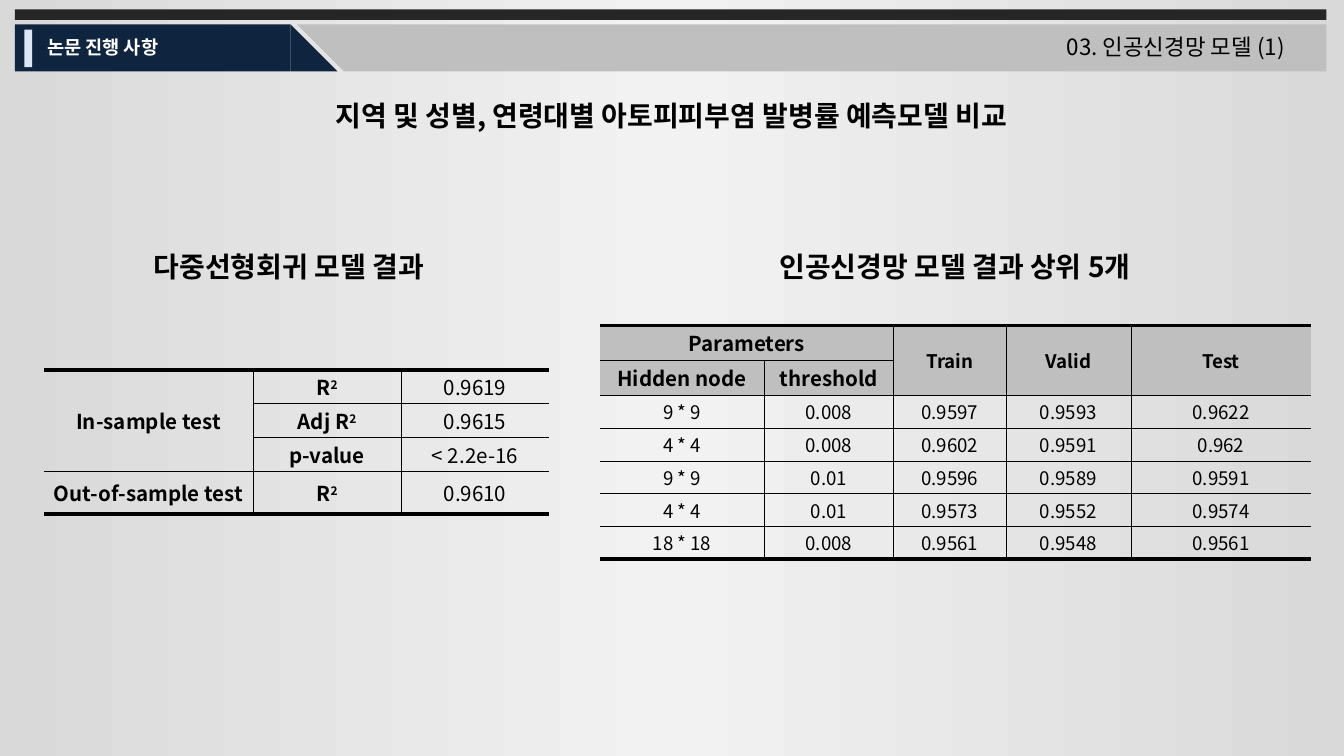
from copy import deepcopy

from lxml import etree
from pptx import Presentation
from pptx.dml.color import RGBColor
from pptx.enum.shapes import MSO_SHAPE
from pptx.enum.text import MSO_ANCHOR, MSO_AUTO_SIZE, PP_ALIGN
from pptx.oxml.ns import qn
from pptx.util import Cm, Pt

RECT = MSO_SHAPE.RECTANGLE
TRIANGLE = MSO_SHAPE.RIGHT_TRIANGLE
LEFT, CENTER = PP_ALIGN.LEFT, PP_ALIGN.CENTER
MIDDLE = MSO_ANCHOR.MIDDLE
GROW = MSO_AUTO_SIZE.SHAPE_TO_FIT_TEXT
FONT = "Noto Sans CJK KR"
NO_STYLE = "{2D5ABB26-0587-4C30-8999-92F81FD0307C}"
THIN, THICK = Pt(0.28), Pt(2.25)


def rgb(color):
    return RGBColor.from_string(color)


def write(p, text, size, bold, color="000000", align=CENTER):
    p.alignment = align
    for i, part in enumerate(text.split("^")):
        r = p.add_run()
        r.text = part
        r.font.size = Pt(size)
        r.font.bold = bold
        r.font.name = FONT
        r.font.color.rgb = rgb(color)
        rPr = r._r.get_or_add_rPr()
        etree.SubElement(rPr, qn("a:ea"), typeface=FONT)
        if i:
            rPr.set("baseline", "30000")


prs = Presentation()
prs.slide_width, prs.slide_height = Cm(25.4), Cm(14.29)
s = prs.slides.add_slide(prs.slide_layouts[6])

fill = s.background.fill
fill.gradient()
fill.gradient_angle = 0
stops = s.element.find(".//" + qn("a:gsLst"))
stops.append(deepcopy(stops[0]))
for stop, position, color in zip(fill.gradient_stops, (0, 0.5, 1), ("D9D9D9", "F2F2F2", "D9D9D9")):
    stop.position = position
    stop.color.rgb = rgb(color)

for kind, x, y, w, h, color, rotation in [
    (RECT, 0.28, 0.18, 24.79, 0.2, "262626", 0),
    (RECT, 0.28, 0.46, 5.21, 0.89, "0F243E", 0),
    (TRIANGLE, 5.49, 0.46, 0.89, 0.89, "0F243E", 0),
    (RECT, 6.5, 0.46, 18.57, 0.89, "BFBFBF", 0),
    (TRIANGLE, 5.61, 0.46, 0.89, 0.89, "BFBFBF", 180),
    (RECT, 0.46, 0.56, 0.15, 0.71, "DCE6F2", 0),
]:
    sp = s.shapes.add_shape(kind, Cm(x), Cm(y), Cm(w), Cm(h))
    sp.shadow.inherit = False
    sp.fill.solid()
    sp.fill.fore_color.rgb = rgb(color)
    sp.line.fill.background()
    sp.rotation = rotation

for text, x, y, w, h, size, bold, color, align, wrap in [
    ("논문 진행 사항", 0.64, 0.56, 2.87, 0.69, 10, True, "FFFFFF", LEFT, True),
    ("지역 및 성별, 연령대별 아토피피부염 발병률 예측모델 비교", 4.55, 1.73, 16.28, 0.89, 15, True, "000000", CENTER, True),
    ("다중선형회귀 모델 결과", 2.36, 4.6, 6.2, 0.89, 15, True, "000000", CENTER, True),
    ("인공신경망 모델 결과 상위 5개", 14.05, 4.6, 8, 0.89, 15, True, "000000", CENTER, True),
    ("03. 인공신경망 모델 (1)", 19.91, 0.51, 5.18, 0.76, 12, False, "000000", LEFT, False),
]:
    tf = s.shapes.add_textbox(Cm(x), Cm(y), Cm(w), Cm(h)).text_frame
    tf.word_wrap = wrap
    tf.auto_size = GROW
    write(tf.paragraphs[0], text, size, bold, color, align)

network = [
    ["Parameters", "", "Train", "Valid", "Test"],
    ["Hidden node", "threshold", "", "", ""],
    ["9 * 9", "0.008", "0.9597", "0.9593", "0.9622"],
    ["4 * 4", "0.008", "0.9602", "0.9591", "0.962"],
    ["9 * 9", "0.01", "0.9596", "0.9589", "0.9591"],
    ["4 * 4", "0.01", "0.9573", "0.9552", "0.9574"],
    ["18 * 18", "0.008", "0.9561", "0.9548", "0.9561"],
]
regression = [
    ["In-sample test", "R^2", "0.9619"],
    ["", "Adj R^2", "0.9615"],
    ["", "p-value", "< 2.2e-16"],
    ["Out-of-sample test", "R^2", "0.9610"],
]

for data, x, y, widths, heights, merges, header_rows, header_cols, body_size in [
    (network, 11.34, 6.15, [3.1, 2.45, 2.12, 2.36, 3.41], [0.66] * 2 + [0.62] * 5,
     [(0, 0, 0, 1), (0, 2, 1, 2), (0, 3, 1, 3), (0, 4, 1, 4)], 2, 0, 10),
    (regression, 0.84, 6.99, [3.94, 2.8, 2.8], [0.64] * 3 + [0.8],
     [(0, 0, 2, 0)], 0, 2, 11),
]:
    rows, cols = len(heights), len(widths)
    table = s.shapes.add_table(rows, cols, Cm(x), Cm(y), Cm(sum(widths)), Cm(sum(heights))).table
    table.first_row = table.horz_banding = False
    table._tbl.tblPr.find(qn("a:tableStyleId")).text = NO_STYLE
    for column, width in zip(table.columns, widths):
        column.width = Cm(width)
    for row, height in zip(table.rows, heights):
        row.height = Cm(height)
    for top, left, bottom, right in merges:
        table.cell(top, left).merge(table.cell(bottom, right))

    for i in range(rows):
        for j in range(cols):
            cell = table.cell(i, j)
            cell.vertical_anchor = MIDDLE
            cell.margin_left = cell.margin_right = Cm(0.03)
            cell.margin_top = cell.margin_bottom = 0
            if i < header_rows:
                cell.fill.solid()
                cell.fill.fore_color.rgb = rgb("BFBFBF")
            else:
                cell.fill.background()
            size = 11 if i < header_rows and j < 2 else body_size
            bold = i < header_rows or j < header_cols
            p = cell.text_frame.paragraphs[0]
            if data[i][j]:
                write(p, data[i][j], size, bold)
            else:
                p.font.size = Pt(size)

            edges = [
                ("a:lnL", THIN if j else 0),
                ("a:lnR", THIN if j < cols - 1 else 0),
                ("a:lnT", THIN if i else THICK),
                ("a:lnB", THIN if i < rows - 1 else THICK),
            ]
            tcPr = cell._tc.get_or_add_tcPr()
            for k, (tag, width) in enumerate(edges):
                if cell.is_spanned:
                    continue
                ln = etree.Element(qn(tag), w=str(int(width)))
                if width:
                    solid = etree.SubElement(ln, qn("a:solidFill"))
                    etree.SubElement(solid, qn("a:srgbClr"), val="000000")
                else:
                    etree.SubElement(ln, qn("a:noFill"))
                tcPr.insert(k, ln)

prs.save("out.pptx")
